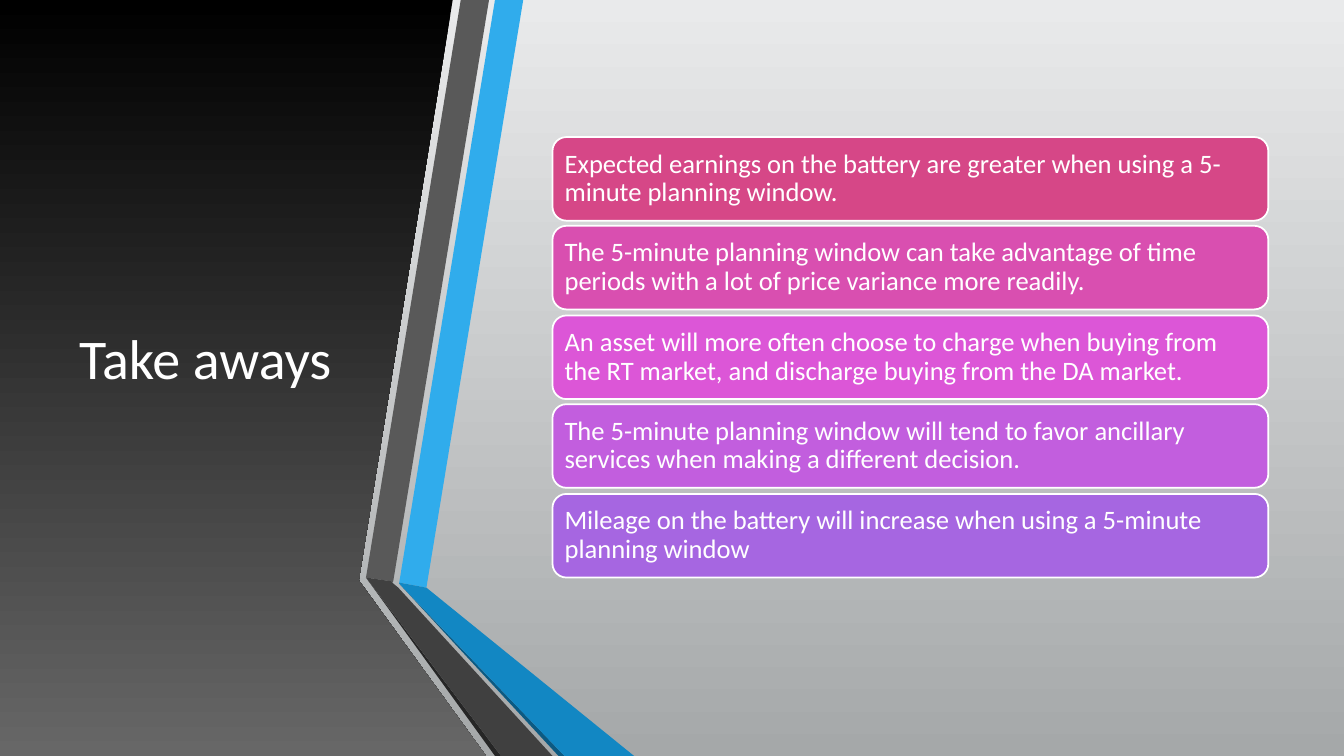
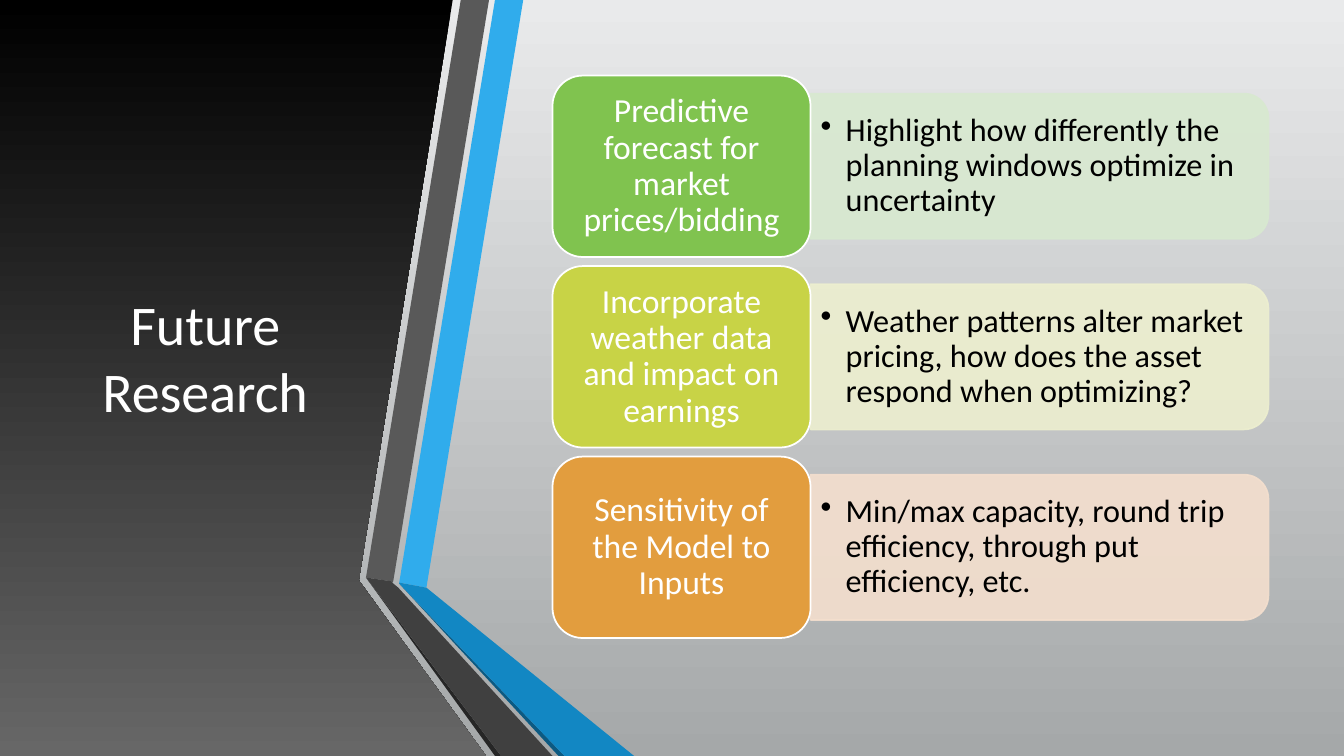
from lxml import etree
from pptx import Presentation
from pptx.dml.color import RGBColor
from pptx.enum.shapes import MSO_SHAPE
from pptx.enum.text import MSO_ANCHOR, MSO_AUTO_SIZE, PP_ALIGN
from pptx.oxml.ns import qn
from pptx.util import Pt

PX = 9144  # EMU; 100 px to the inch
WIDTH, HEIGHT = 1333, 750
FONT = "Calibri"
TITLE_ONLY = 5

LEFT, CENTER = PP_ALIGN.LEFT, PP_ALIGN.CENTER
MIDDLE = MSO_ANCHOR.MIDDLE
ROUNDED = MSO_SHAPE.ROUNDED_RECTANGLE
TWO_ROUNDED = MSO_SHAPE.ROUND_2_SAME_RECTANGLE

WHITE = RGBColor(0xFF, 0xFF, 0xFF)
BLACK = RGBColor(0x00, 0x00, 0x00)
PANEL_GRAY = RGBColor(0x67, 0x67, 0x67)
BG_TOP = RGBColor(0xE9, 0xEA, 0xEB)
BG_BOTTOM = RGBColor(0xA5, 0xA8, 0xA9)
BLUE = RGBColor(0x30, 0xAC, 0xEC)
BLUE_FOLD = RGBColor(0x12, 0x87, 0xC3)
BLUE_SHADE = RGBColor(0x0C, 0x5A, 0x82)
GRAY = RGBColor(0x59, 0x59, 0x59)
GRAY_FOLD = RGBColor(0x40, 0x40, 0x40)
GRAY_SHADE = RGBColor(0x26, 0x26, 0x26)
RASPBERRY = RGBColor(0xD6, 0x47, 0x87)
PINK = RGBColor(0xD9, 0x4F, 0xB0)
ORCHID = RGBColor(0xDC, 0x56, 0xD7)
PURPLE = RGBColor(0xC2, 0x5E, 0xDE)
VIOLET = RGBColor(0xA6, 0x66, 0xE1)
GREEN = RGBColor(0x80, 0xC3, 0x4F)
GREEN_TINT = RGBColor(0xD8, 0xE9, 0xD0)
LIME = RGBColor(0xC8, 0xD3, 0x46)
LIME_TINT = RGBColor(0xED, 0xEF, 0xCF)
ORANGE = RGBColor(0xE2, 0x9D, 0x3E)
ORANGE_TINT = RGBColor(0xF4, 0xDF, 0xCE)

TITLE_BOX = (59, 75, 289, 558)
PANEL = [(0, 0), (449, 0), (356, 575), (356, 576), (482, 750), (0, 750)]
RIBBONS = [
    (BLUE, [(396, 578), (423, 583), (519, 0), (491, 0)]),
    (GRAY, [(485, 0), (457, 0), (363, 573), (390, 577)]),
    (GRAY_SHADE, [(363, 573), (491, 750), (497, 750)]),
    (BLUE_SHADE, [(396, 579), (554, 750), (560, 750)]),
    (BLUE_FOLD, [(396, 579), (560, 750), (629, 750), (423, 583), (396, 578)]),
    (GRAY_FOLD, [(548, 750), (395, 583), (389, 578), (390, 577), (363, 573),
                 (497, 750)]),
]

TAKEAWAYS = [
    (RASPBERRY, "Expected earnings on the battery are greater when using a "
                "5-minute planning window."),
    (PINK, "The 5-minute planning window can take advantage of time periods "
           "with a lot of price variance more readily."),
    (ORCHID, "An asset will more often choose to charge when buying from the "
             "RT market, and discharge buying from the DA market."),
    (PURPLE, "The 5-minute planning window will tend to favor ancillary "
             "services when making a different decision."),
    (VIOLET, "Mileage on the battery will increase when using a 5-minute "
             "planning window"),
]
RESEARCH = [
    (GREEN, GREEN_TINT, "Predictive forecast for market prices/bidding",
     "Highlight how differently the planning windows optimize in uncertainty"),
    (LIME, LIME_TINT, "Incorporate weather data and impact on earnings",
     "Weather patterns alter market pricing, how does the asset respond when "
     "optimizing?"),
    (ORANGE, ORANGE_TINT, "Sensitivity of the Model to Inputs",
     "Min/max capacity, round trip efficiency, through put efficiency, etc."),
]


def px(*values):
    return [round(v * PX) for v in values]


def write(shape, text, size, color=WHITE, align=LEFT, spacing=0.9,
          insets=(10, 5), bullet=False):
    tf = shape.text_frame
    tf.word_wrap = True
    tf.auto_size = MSO_AUTO_SIZE.NONE
    tf.vertical_anchor = MIDDLE
    tf.margin_left = tf.margin_right = insets[0] * PX
    tf.margin_top = tf.margin_bottom = insets[1] * PX
    p = tf.paragraphs[0]
    p.alignment, p.line_spacing = align, spacing
    if bullet:
        pPr = p._p.get_or_add_pPr()
        pPr.set("marL", str(25 * PX))
        pPr.set("indent", str(-25 * PX))
        etree.SubElement(pPr, qn("a:buChar")).set("char", "•")
    r = p.add_run()
    r.text = text
    r.font.name, r.font.size, r.font.color.rgb = FONT, Pt(size), color


def vertical_gradient(fill, top, bottom):
    fill.gradient()
    fill.gradient_angle = 270
    for stop, color in zip(fill.gradient_stops, (top, bottom)):
        stop.color.rgb = color


def add_box(s, kind, box, fill, line):
    sp = s.shapes.add_shape(kind, *px(*box))
    sp.shadow.inherit = False
    sp.fill.solid()
    sp.fill.fore_color.rgb = fill
    sp.line.color.rgb = line
    sp.line.width = Pt(1.25)
    return sp


def add_outline(s, points):
    builder = s.shapes.build_freeform(*points[0], scale=PX)
    builder.add_line_segments(points[1:], close=True)
    sp = builder.convert_to_shape()
    sp.shadow.inherit = False
    sp.line.fill.background()
    return sp


def style_layout(layout, s):
    """Draw the panel and ribbons on s, then move them into its layout."""
    for ph in list(layout.placeholders):
        if ph.placeholder_format.idx:
            ph.element.getparent().remove(ph.element)
        else:
            ph.left, ph.top, ph.width, ph.height = px(*TITLE_BOX)
    vertical_gradient(layout.background.fill, BG_TOP, BG_BOTTOM)
    panel = add_outline(s, PANEL)
    vertical_gradient(panel.fill, BLACK, PANEL_GRAY)
    decor = [panel]
    for color, points in RIBBONS:
        ribbon = add_outline(s, points)
        ribbon.fill.solid()
        ribbon.fill.fore_color.rgb = color
        decor.append(ribbon)
    for sp in decor:
        layout.shapes.element.append(sp.element)


def add_slide(prs, title):
    s = prs.slides.add_slide(prs.slide_layouts[TITLE_ONLY])
    write(s.shapes.title, title, 40, align=CENTER, spacing=1.0)
    return s


def add_takeaways(s):
    for i, (color, text) in enumerate(TAKEAWAYS):
        bar = add_box(s, ROUNDED, (548, 136 + 177 * i // 2, 710, 83),
                      color, WHITE)
        write(bar, text, 19, insets=(8, 8))


def add_research(s):
    label_x, label_w, label_h = 548, 256, 180
    band_x, band_w, band_h = label_x + label_w, 454, 144
    turn = (band_w - band_h) / 2
    for i, (color, tint, label, detail) in enumerate(RESEARCH):
        top = 75 + 189 * i
        band_y = top + (label_h - band_h) / 2
        band = add_box(s, TWO_ROUNDED,
                       (band_x + turn, band_y - turn, band_h, band_w),
                       tint, tint)
        band.rotation = 90
        for clr in band.element.spPr.iter(qn("a:srgbClr")):
            etree.SubElement(clr, qn("a:alpha")).set("val", "90000")
        tb = s.shapes.add_textbox(*px(band_x, band_y + 7, 447, 130))
        write(tb, detail, 23, color=BLACK, bullet=True)
        box = add_box(s, ROUNDED, (label_x, top, label_w, label_h),
                      color, WHITE)
        write(box, label, 24, align=CENTER)


def main():
    prs = Presentation()
    prs.slide_width, prs.slide_height = px(WIDTH, HEIGHT)
    takeaways = add_slide(prs, "Take aways")
    style_layout(takeaways.slide_layout, takeaways)
    add_takeaways(takeaways)
    add_research(add_slide(prs, "Future Research"))
    prs.save("out.pptx")


if __name__ == "__main__":
    main()
